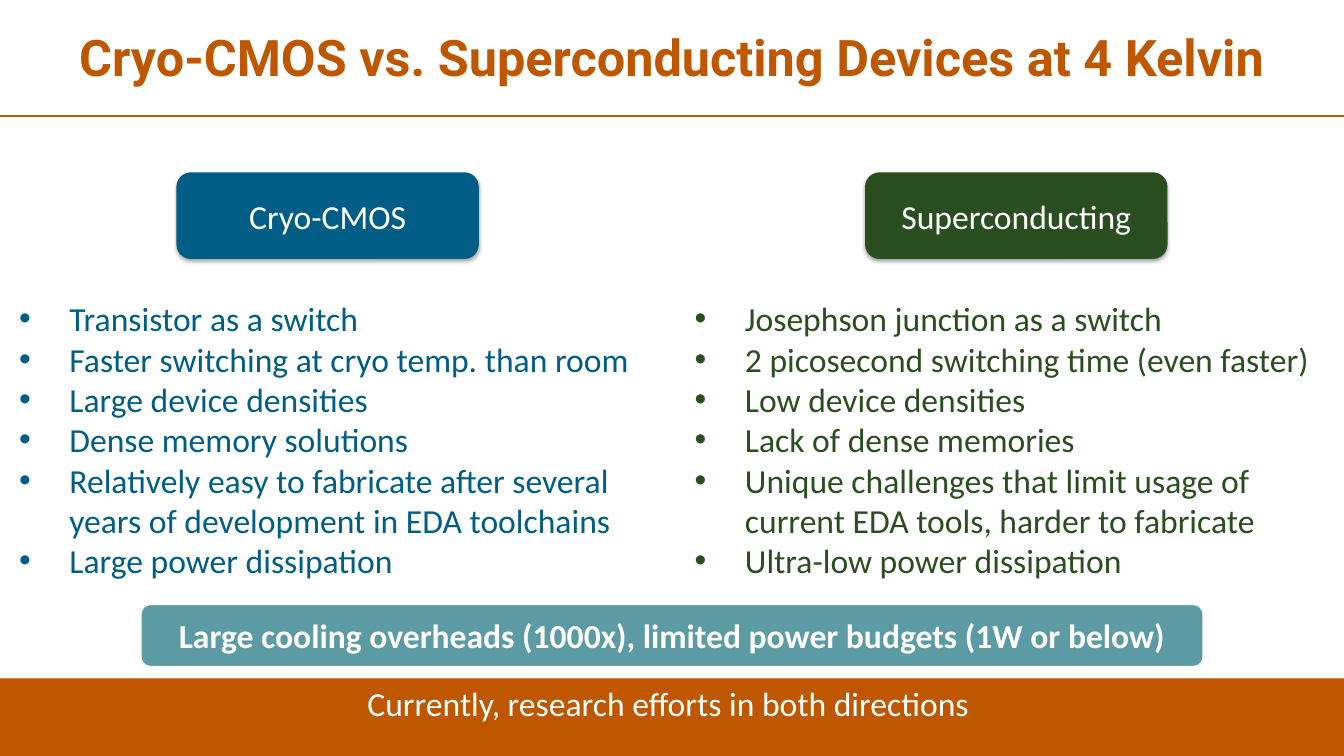
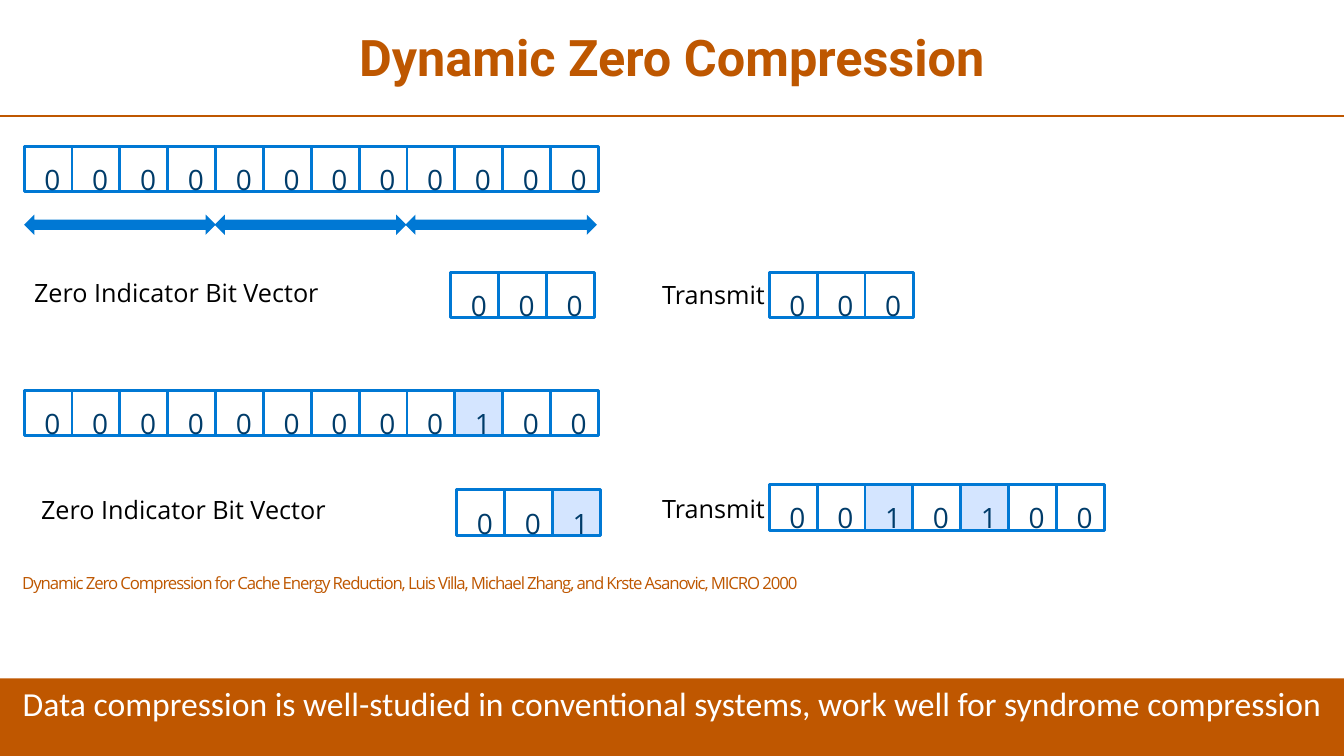
from lxml import etree
from pptx import Presentation
from pptx.dml.color import RGBColor
from pptx.enum.shapes import MSO_CONNECTOR, MSO_SHAPE
from pptx.enum.text import MSO_ANCHOR, MSO_AUTO_SIZE, PP_ALIGN
from pptx.oxml import parse_xml
from pptx.oxml.ns import nsdecls, qn
from pptx.util import Inches, Pt

# Shared style
ORANGE, TITLE_ORANGE = "BF5700", "BE5700"
BLUE, GREEN, TEAL = "005E86", "2B4E20", "5C9BA4"
CELL_LINE, CELL_TEXT, CELL_ONE = "0078D4", "003C6A", "D4E5FF"
WHITE, BLACK = "FFFFFF", "000000"
BODY, LABEL, HEAD = "Calibri", "Open Sans", "Roboto"
SLIDE_W, SLIDE_H = 13.33, 7.5
CELL_W, CELL_H = 0.48, 0.45
PITCH = 5.22 / 11  # twelve cells span 5.22 between first and last left edge


def rgb(color):
    return RGBColor.from_string(color)


def write(tf, *lines, size=24, font=BODY, color=WHITE, bold=False,
          align=PP_ALIGN.LEFT, anchor=MSO_ANCHOR.TOP, insets=(0.1, 0.05),
          line_spacing=None, tracking=None, bullet=False):
    """Fill a text frame, one paragraph per line."""
    tf.word_wrap = True
    tf.auto_size = MSO_AUTO_SIZE.NONE
    tf.vertical_anchor = anchor
    tf.margin_left = tf.margin_right = Inches(insets[0])
    tf.margin_top = tf.margin_bottom = Inches(insets[1])
    for i, line in enumerate(lines):
        p = tf.add_paragraph() if i else tf.paragraphs[0]
        p.alignment = align
        if line_spacing:
            p.line_spacing = line_spacing
        if bullet:
            pPr = p._p.get_or_add_pPr()
            pPr.set("marL", str(Inches(0.5)))
            pPr.set("indent", str(-Inches(0.5)))
            etree.SubElement(pPr, qn("a:buFont")).set("typeface", "Arial")
            etree.SubElement(pPr, qn("a:buChar")).set("char", "•")
        r = p.add_run()
        r.text = line
        r.font.size, r.font.name, r.font.bold = Pt(size), font, bold
        r.font.color.rgb = rgb(color)
        if tracking:
            r._r.get_or_add_rPr().set("spc", str(tracking))


def add_text(s, x, y, w, h, *lines, **fmt):
    sp = s.shapes.add_textbox(Inches(x), Inches(y), Inches(w), Inches(h))
    write(sp.text_frame, *lines, **fmt)


def add_box(s, kind, x, y, w, h, fill, text=None, line=None, **fmt):
    sp = s.shapes.add_shape(kind, Inches(x), Inches(y), Inches(w), Inches(h))
    sp.shadow.inherit = False
    sp.fill.solid()
    sp.fill.fore_color.rgb = rgb(fill)
    if line:
        sp.line.color.rgb = rgb(line)
        sp.line.width = Pt(2)
    else:
        sp.line.fill.background()
    if text:
        write(sp.text_frame, text, **fmt)
    return sp


def add_soft_shadow(sp):
    effects = sp._element.spPr.find(qn("a:effectLst"))
    effects.append(parse_xml(
        f'<a:outerShdw {nsdecls("a")} blurRad="{Pt(3.1)}" dist="{Pt(1.8)}" '
        'dir="5400000" rotWithShape="0"><a:srgbClr val="000000">'
        '<a:alpha val="35000"/></a:srgbClr></a:outerShdw>'))


def add_slide(prs, title, footer):
    """Start a slide with the title, the rule below it and the footer band."""
    s = prs.slides.add_slide(prs.slide_layouts[5])
    sp = s.shapes.title
    sp.left, sp.top = Inches(0.09), Inches(0.04)
    sp.width, sp.height = Inches(13.15), Inches(1.11)
    write(sp.text_frame, title, size=36, font=HEAD, color=TITLE_ORANGE,
          bold=True, align=PP_ALIGN.CENTER, anchor=MSO_ANCHOR.MIDDLE,
          line_spacing=0.9)
    rule = s.shapes.add_connector(MSO_CONNECTOR.STRAIGHT, 0, Inches(1.15),
                                  Inches(SLIDE_W), Inches(1.15))
    rule.line.color.rgb = rgb(ORANGE)
    rule.line.width = Pt(1.5)
    etree.SubElement(rule._element.spPr, qn("a:effectLst"))
    add_box(s, MSO_SHAPE.RECTANGLE, 0, 6.73, SLIDE_W, SLIDE_H - 6.73, ORANGE,
            footer, align=PP_ALIGN.CENTER)
    return s


def add_column(s, head_x, list_x, color, head, points):
    """A shadowed heading with its bullet list in the same colour."""
    sp = add_box(s, MSO_SHAPE.ROUNDED_RECTANGLE, head_x, 1.71, 3, 0.86, color,
                 head, align=PP_ALIGN.CENTER, anchor=MSO_ANCHOR.MIDDLE)
    add_soft_shadow(sp)
    add_text(s, list_x, 2.91, 6.58, 2.93, *points, color=color, bullet=True)


def add_bits(s, x, y, bits):
    """A row of cells, one per bit, with the ones tinted."""
    for i, bit in enumerate(bits):
        add_box(s, MSO_SHAPE.RECTANGLE, x + i * PITCH, y, CELL_W, CELL_H,
                CELL_ONE if bit == "1" else WHITE, bit, line=CELL_LINE,
                size=20, font=LABEL, color=CELL_TEXT, insets=(0.2, 0.16))


def add_label(s, x, y, w, text):
    add_text(s, x, y, w, 0.4, text, size=18, font=LABEL, color=BLACK)


def build_comparison(prs):
    s = add_slide(prs, "Cryo-CMOS vs. Superconducting Devices at 4 Kelvin",
                  "Currently, research efforts in both directions ")
    add_column(s, 1.75, 0.09, BLUE, "Cryo-CMOS", [
        "Transistor as a switch",
        "Faster switching at cryo temp. than room",
        "Large device densities",
        "Dense memory solutions",
        "Relatively easy to fabricate after several years of development "
        "in EDA toolchains",
        "Large power dissipation"])
    add_column(s, 8.58, 6.79, GREEN, "Superconducting", [
        "Josephson junction as a switch",
        "2 picosecond switching time (even faster)",
        "Low device densities",
        "Lack of dense memories",
        "Unique challenges that limit usage of current EDA tools, "
        "harder to fabricate",
        "Ultra-low power dissipation"])
    add_box(s, MSO_SHAPE.ROUNDED_RECTANGLE, 1.39, 5.99, 10.55, 0.63, TEAL,
            "Large cooling overheads (1000x), limited power budgets "
            "(1W or below)", line=WHITE, bold=True, align=PP_ALIGN.CENTER,
            anchor=MSO_ANCHOR.MIDDLE)


def build_compression(prs):
    s = add_slide(prs, "Dynamic Zero Compression",
                  "Data compression is well-studied in conventional systems, "
                  "work well for syndrome compression")
    # Data words, and arrows marking the groups of four bits
    add_bits(s, 0.24, 1.45, "000000000000")
    for i in range(3):
        add_box(s, MSO_SHAPE.LEFT_RIGHT_ARROW, 0.24 + i * 1.89, 2.13, 1.9, 0.2,
                CELL_LINE)
    add_bits(s, 0.24, 3.87, "000000000100")
    # Indicator vectors
    for label_x, bits_x, y, bits in ((0.24, 4.47, 2.7, "000"),
                                     (0.31, 4.53, 4.86, "001")):
        add_label(s, label_x, y, 3.64, "Zero Indicator Bit Vector")
        add_bits(s, bits_x, y, bits)
    # Transmitted bits
    for label_y, bits_y, bits in ((2.72, 2.7, "000"), (4.84, 4.81, "0010100")):
        add_label(s, 6.47, label_y, 1.3, "Transmit")
        add_bits(s, 7.63, bits_y, bits)
    # Citation
    add_text(s, 0.09, 5.62, 9.71, 0.36,
             "Dynamic Zero Compression for Cache Energy Reduction, Luis Villa, "
             "Michael Zhang, and Krste Asanovic, MICRO 2000",
             size=12, font=LABEL, color=TITLE_ORANGE, insets=(0.13, 0.08),
             line_spacing=0.9, tracking=-80)


def main():
    prs = Presentation()
    prs.slide_width, prs.slide_height = Inches(SLIDE_W), Inches(SLIDE_H)
    build_comparison(prs)
    build_compression(prs)
    prs.save("out.pptx")


if __name__ == "__main__":
    main()
